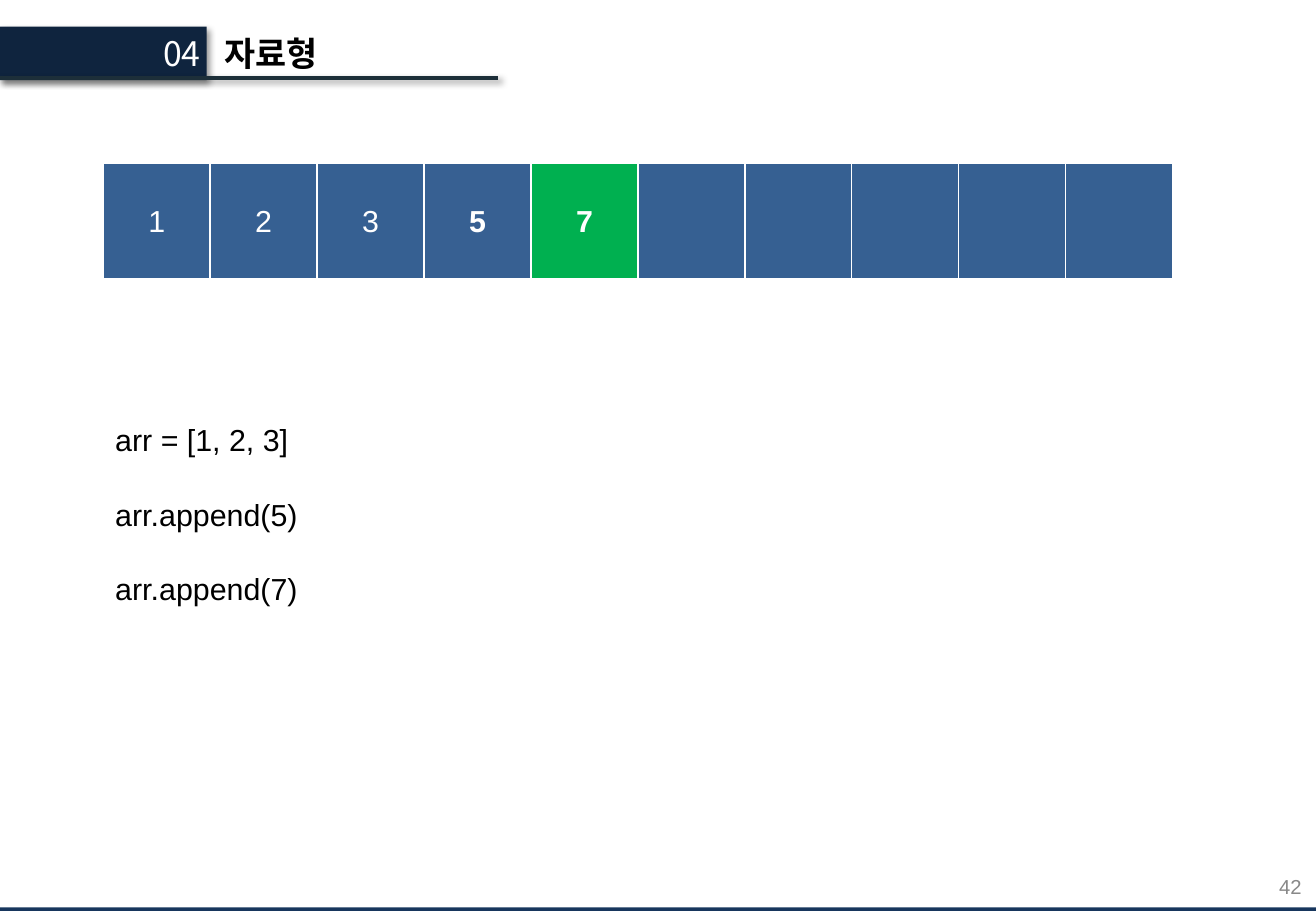
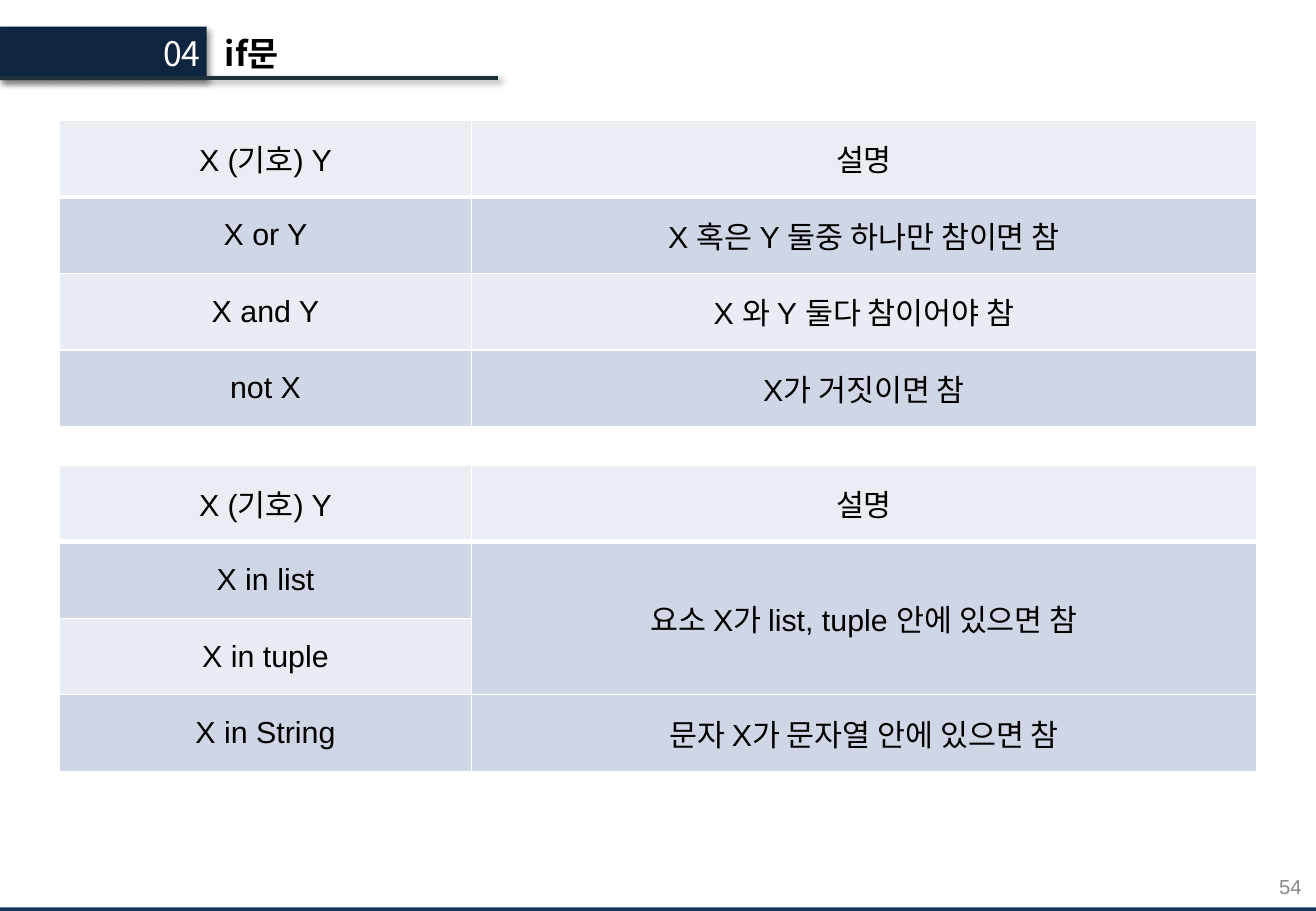
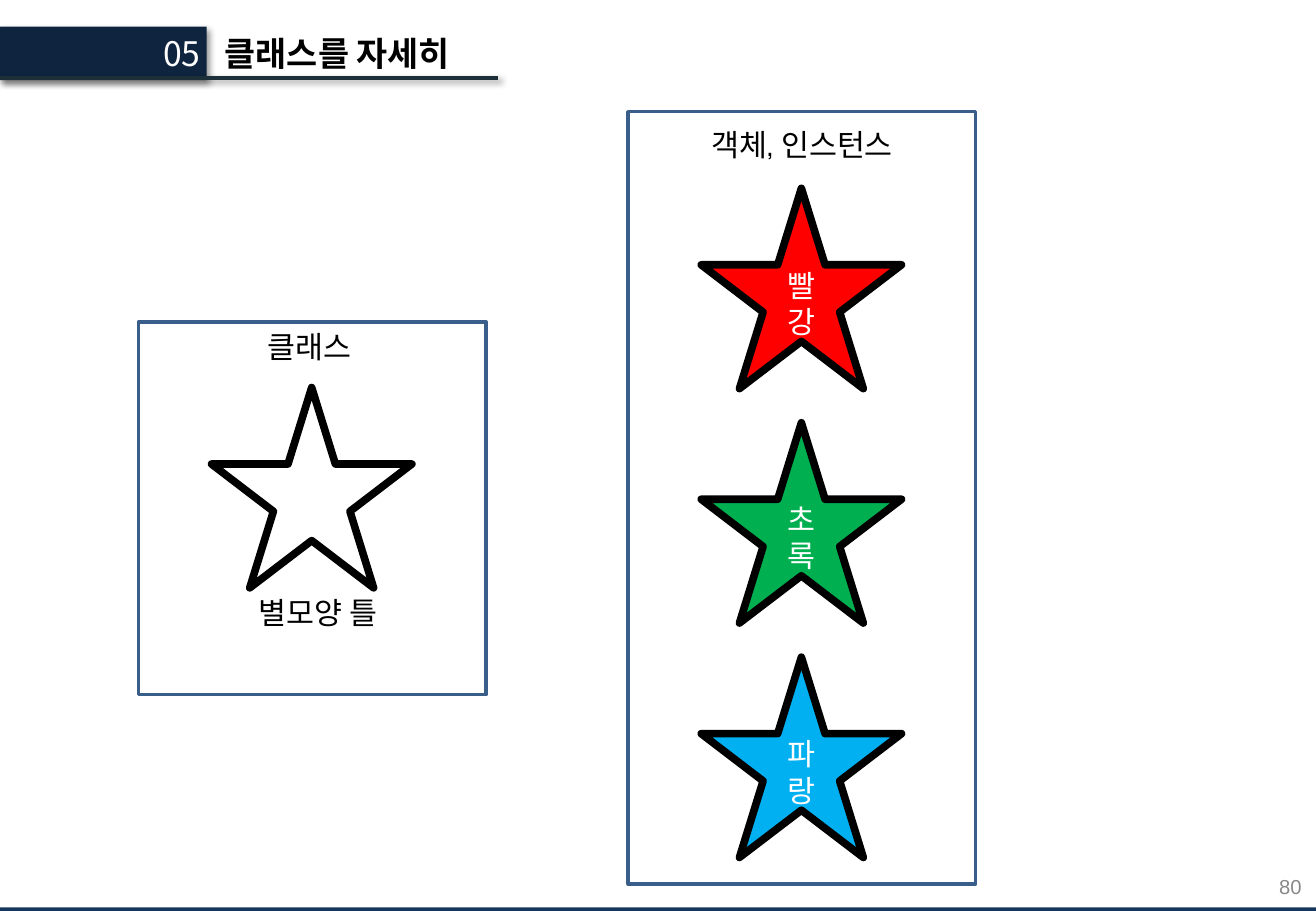
"""Build three lecture slides on Python lists, conditions and classes."""
import dataclasses
import typing

import lxml.etree
import pptx
import pptx.dml.color
import pptx.enum.shapes
import pptx.enum.text
import pptx.oxml.ns
import pptx.util

Inches = pptx.util.Inches
Pt = pptx.util.Pt
qn = pptx.oxml.ns.qn
Kind = pptx.enum.shapes.MSO_SHAPE
Align = pptx.enum.text.PP_ALIGN
Anchor = pptx.enum.text.MSO_ANCHOR

KOREAN = "Noto Sans CJK KR"
LATIN = "Arial"
LABEL = "Manrope"
BLACK, WHITE, GREY = "000000", "FFFFFF", "888888"
NAVY, BAND, RULE, EDGE = "0F243E", "17365D", "1D2F39", "395E89"
BLUE, GREEN = "366092", "00B050"
HEAD, DARK, LIGHT = "E9EDF4", "CFD7E7", "E8ECF4"


@dataclasses.dataclass(frozen=True)
class Box:
    """Place and size in inches."""
    left: float
    top: float
    width: float
    height: float

    def emu(self) -> tuple:
        """Return the four lengths for python-pptx."""
        return tuple(Inches(n) for n in dataclasses.astuple(self))


@dataclasses.dataclass(frozen=True)
class Cell:
    """One table cell."""
    text: str
    fill: str
    bold: bool = False


@dataclasses.dataclass(frozen=True)
class Grid:
    """A table with equal rows."""
    left: float
    top: float
    widths: list[float]
    height: float
    rows: list[list[Cell]]
    ink: str = BLACK


@dataclasses.dataclass(frozen=True)
class Star:
    """A five-pointed star with an optional label."""
    left: float
    top: float
    fill: str = ""
    text: str = ""


def tint(code: str) -> pptx.dml.color.RGBColor:
    """Turn a hex string into a colour."""
    return pptx.dml.color.RGBColor.from_string(code)


def write(frame: typing.Any, text: str, *, size: float = 18, font: str = LATIN,
          color: str = BLACK, bold: bool = False, align: Align = Align.LEFT,
          gap: float = 0) -> None:
    """Fill a text frame, one paragraph for each line."""
    for i, line in enumerate(text.split("\n")):
        para = frame.paragraphs[0] if i == 0 else frame.add_paragraph()
        para.alignment = align
        para.space_before = Pt(gap if i else 0)
        run = para.add_run()
        run.text = line
        run.font.size = Pt(size)
        run.font.name = font
        run.font.bold = bold
        run.font.color.rgb = tint(color)


def label(slide: typing.Any, box: Box, text: str, *,
          anchor: Anchor = Anchor.TOP, **style: typing.Any) -> None:
    """Add a wrapping text box."""
    frame = slide.shapes.add_textbox(*box.emu()).text_frame
    frame.word_wrap = True
    frame.vertical_anchor = anchor
    write(frame, text, **style)


def form(slide: typing.Any, kind: Kind, box: Box, *, fill: str = "",
         line: str = "", width: float = 1) -> typing.Any:
    """Add a preset shape without shadow."""
    shape = slide.shapes.add_shape(kind, *box.emu())
    shape.shadow.inherit = False
    if fill:
        shape.fill.solid()
        shape.fill.fore_color.rgb = tint(fill)
    else:
        shape.fill.background()
    if line:
        shape.line.color.rgb = tint(line)
        shape.line.width = Pt(width)
    else:
        shape.line.fill.background()
    return shape


def shade(shape: typing.Any) -> None:
    """Give a shape or connector the soft header shadow."""
    props = shape.element.spPr
    list_ = props.find(qn("a:effectLst"))
    if list_ is None:
        list_ = lxml.etree.SubElement(props, qn("a:effectLst"))
    outer = lxml.etree.SubElement(
        list_, qn("a:outerShdw"), blurRad=str(Pt(4)), dist=str(Pt(3)),
        dir="2700000", algn="tl", rotWithShape="0")
    color = lxml.etree.SubElement(outer, qn("a:srgbClr"), val=BLACK)
    lxml.etree.SubElement(color, qn("a:alpha"), val="40000")


def start(deck: typing.Any, part: str, title: str, page: int) -> typing.Any:
    """Add a slide with its header, footer band and page number."""
    slide = deck.slides.add_slide(deck.slide_layouts[5])
    form(slide, Kind.RECTANGLE, Box(-0.1, 7.47, 11.03, 0.09), fill=BAND)
    label(slide, Box(8.28, 7.1, 2.53, 0.4), str(page), size=12, color=GREY,
          align=Align.RIGHT, anchor=Anchor.MIDDLE)
    shade(form(slide, Kind.RECTANGLE, Box(-0.01, 0.22, 1.71, 0.44), fill=NAVY))
    label(slide, Box(1.04, 0.22, 0.71, 0.44), part, size=20, font=KOREAN,
          color=WHITE, align=Align.RIGHT)
    rule = slide.shapes.add_connector(
        pptx.enum.shapes.MSO_CONNECTOR.STRAIGHT,
        Inches(-0.01), Inches(0.64), Inches(4.1), Inches(0.64))
    rule.line.color.rgb = tint(RULE)
    rule.line.width = Pt(2.25)
    shade(rule)
    head = slide.shapes.title
    head.left, head.top, head.width, head.height = Box(1.75, 0.22, 5.79, 0.44).emu()
    frame = head.text_frame
    frame.auto_size = pptx.enum.text.MSO_AUTO_SIZE.NONE
    frame.word_wrap = True
    frame.vertical_anchor = Anchor.TOP
    write(frame, title, size=20, font=KOREAN, bold=True)
    return slide


def edge(cell: typing.Any, row: int) -> None:
    """Draw white cell borders, thick under the first row."""
    props = cell.get_or_add_tcPr()
    sides = {"L": 1, "R": 1, "T": 3 if row == 1 else 1, "B": 3 if row == 0 else 1}
    for i, (side, width) in enumerate(sides.items()):
        line = lxml.etree.Element(qn(f"a:ln{side}"), w=str(Pt(width)))
        fill = lxml.etree.SubElement(line, qn("a:solidFill"))
        lxml.etree.SubElement(fill, qn("a:srgbClr"), val=WHITE)
        props.insert(i, line)


def table(slide: typing.Any, grid: Grid) -> typing.Any:
    """Add a table and return it."""
    box = Box(grid.left, grid.top, sum(grid.widths), grid.height * len(grid.rows))
    holder = slide.shapes.add_table(len(grid.rows), len(grid.widths), *box.emu())
    body = holder.table
    body.first_row = body.horz_banding = False
    for col, width in zip(body.columns, grid.widths):
        col.width = Inches(width)
    for r, row in enumerate(grid.rows):
        body.rows[r].height = Inches(grid.height)
        for c, item in enumerate(row):
            cell = body.cell(r, c)
            cell.fill.solid()
            cell.fill.fore_color.rgb = tint(item.fill)
            cell.vertical_anchor = Anchor.MIDDLE
            if item.text:
                write(cell.text_frame, item.text, color=grid.ink,
                      bold=item.bold, align=Align.CENTER)
    for r, row in enumerate(holder.element.iter(qn("a:tr"))):
        for cell in row.iter(qn("a:tc")):
            edge(cell, r)
    return body


def rules(slide: typing.Any, top: float, rows: list[tuple[str, str]]) -> typing.Any:
    """Add a table of operators and their meanings."""
    pairs = [("X (기호) Y", "설명"), *rows]
    fills = [HEAD, DARK, LIGHT, DARK]
    cells = [[Cell(text, fill) for text in pair] for pair, fill in zip(pairs, fills)]
    return table(slide, Grid(0.49, top, [3.39, 6.46], 0.63, cells))


def draw(slide: typing.Any, star: Star) -> None:
    """Draw a star."""
    shape = form(slide, Kind.STAR_5_POINT, Box(star.left, star.top, 1.65, 1.65),
                 fill=star.fill, line=BLACK, width=4.5)
    if star.text:
        shape.text_frame.vertical_anchor = Anchor.MIDDLE
        write(shape.text_frame, star.text, font=LABEL, color=WHITE,
              align=Align.CENTER)


def lists(deck: typing.Any) -> None:
    """Build the list slide."""
    slide = start(deck, "04", "자료형", 42)
    cells = [Cell(text, BLUE) for text in "123"]
    cells += [Cell("5", "376092", True), Cell("7", GREEN, True)]
    cells += [Cell("", BLUE)] * 5
    table(slide, Grid(0.85, 1.34, [0.88] * 10, 0.97, [cells], WHITE))
    label(slide, Box(0.85, 3.42, 8.82, 1.62),
          "arr = [1, 2, 3]\narr.append(5)\narr.append(7)", gap=22.5)


def tests(deck: typing.Any) -> None:
    """Build the condition slide."""
    slide = start(deck, "04", "if문", 54)
    rules(slide, 0.99, [("X or Y", "X 혹은 Y 둘중 하나만 참이면 참"),
                        ("X and Y", "X 와 Y 둘다 참이어야 참"),
                        ("not X", "X가 거짓이면 참")])
    body = rules(slide, 3.83, [("X in list", "요소 X가 list, tuple 안에 있으면 참"),
                               ("X in tuple", ""),
                               ("X in String", "문자 X가 문자열 안에 있으면 참")])
    body.cell(1, 1).merge(body.cell(2, 1))


def classes(deck: typing.Any) -> None:
    """Build the class slide."""
    slide = start(deck, "05", "클래스를 자세히", 80)
    for box in (Box(1.14, 2.65, 2.86, 3.07), Box(5.17, 0.92, 2.86, 6.36)):
        form(slide, Kind.RECTANGLE, box, line=EDGE, width=2)
    draw(slide, Star(1.74, 3.19))
    colors = [("FF0000", "빨강"), (GREEN, "초록"), ("00B0F0", "파랑")]
    for i, (fill, text) in enumerate(colors):
        draw(slide, Star(5.77, 1.55 + 1.93 * i, fill, text))
    for box, text in ((Box(1.72, 2.65, 1.65, 0.4), "클래스"),
                      (Box(1.79, 4.84, 1.65, 0.4), "별모양 틀"),
                      (Box(5.49, 0.99, 2.22, 0.4), "객체, 인스턴스")):
        label(slide, box, text, font=LABEL, align=Align.CENTER)


def main() -> None:
    """Build and save the deck."""
    deck = pptx.Presentation()
    deck.slide_width, deck.slide_height = Inches(10.83), Inches(7.5)
    for build in (lists, tests, classes):
        build(deck)
    for slide in deck.slides:
        for latin in list(slide.element.iter(qn("a:latin"))):
            latin.addnext(lxml.etree.Element(qn("a:ea"), typeface=KOREAN))
    deck.save("out.pptx")


if __name__ == "__main__":
    main()
